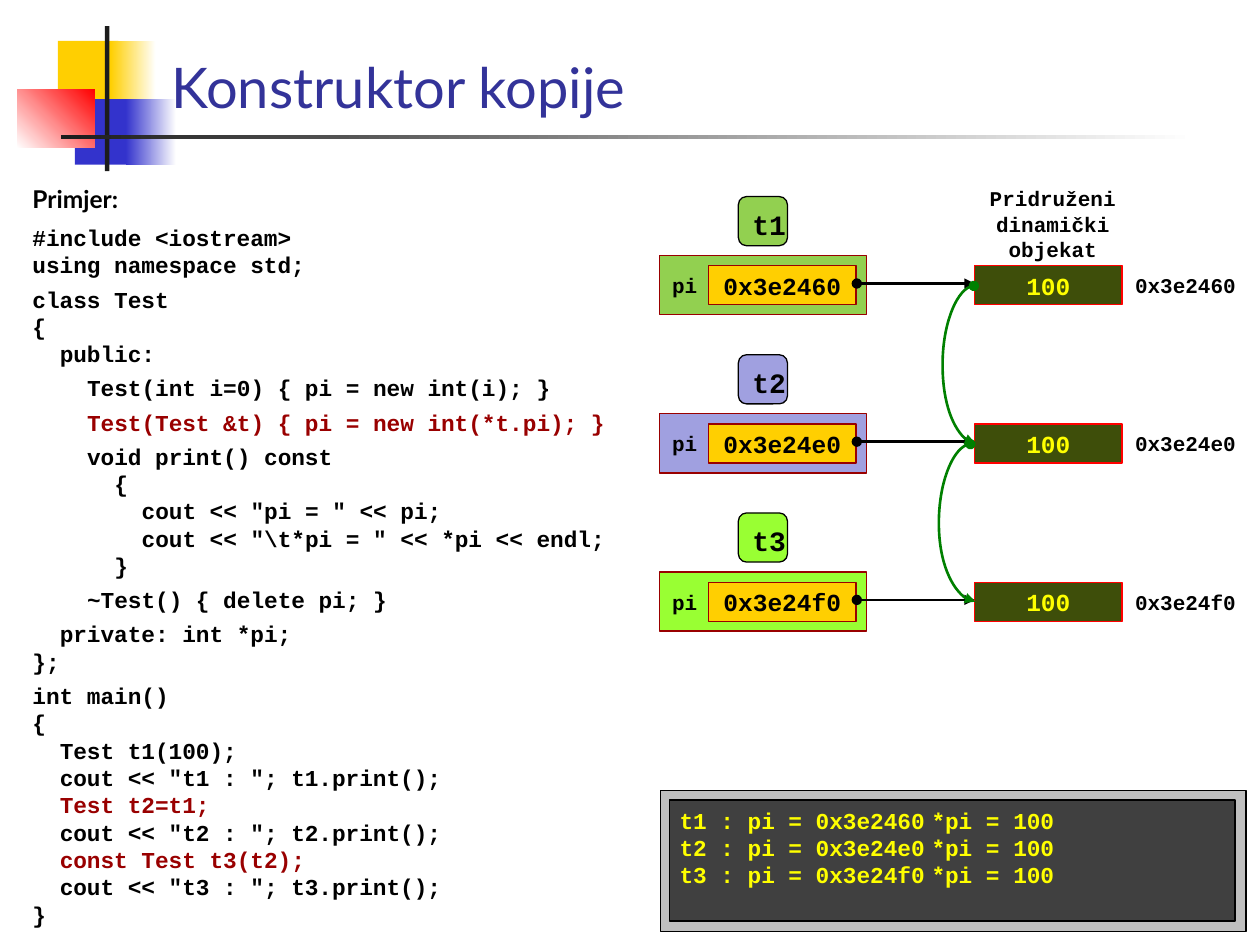
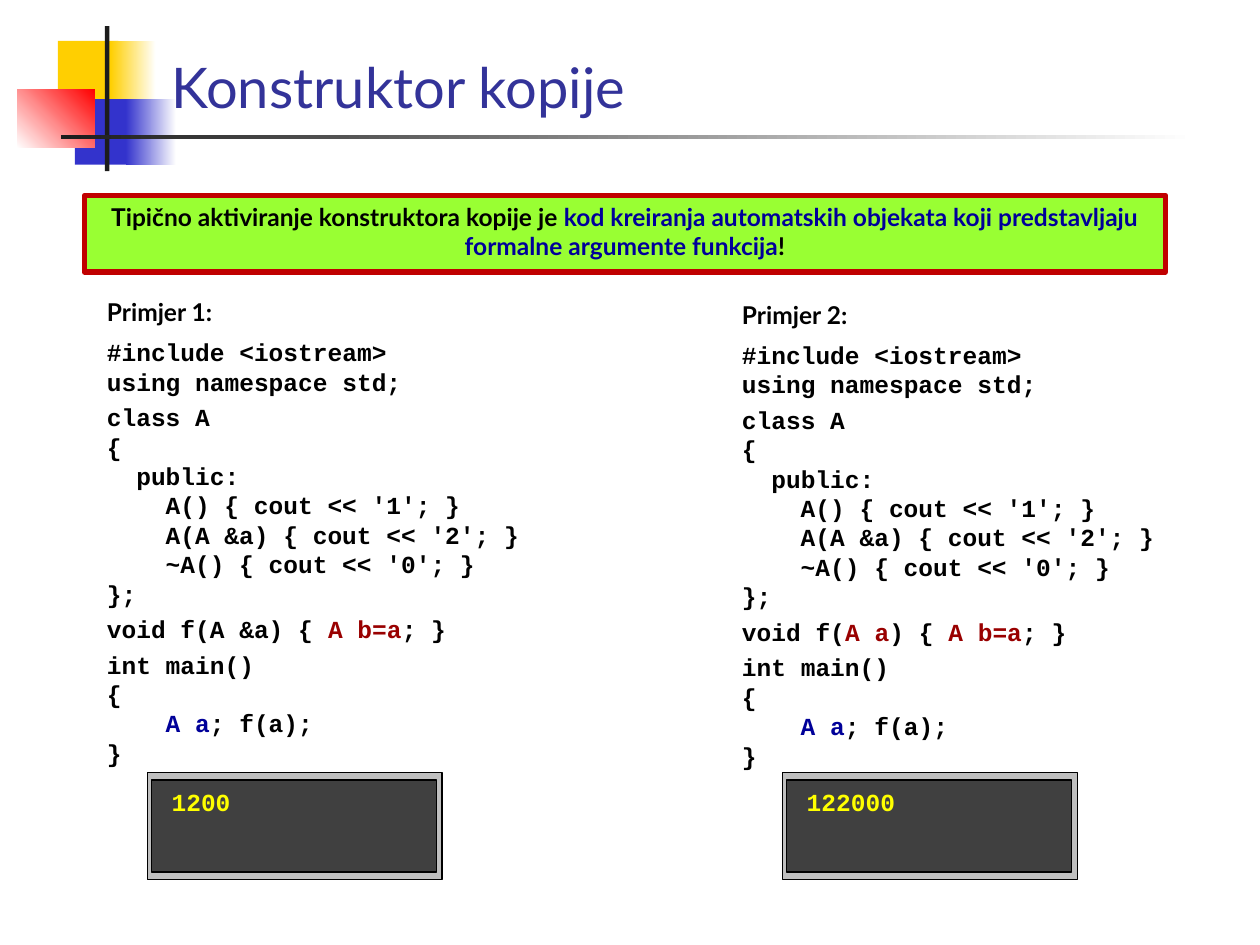
import pptx
import pptx.util
import pptx.dml.color
import pptx.enum.shapes
import pptx.enum.text
import pptx.oxml.ns
from lxml import etree

Pt = pptx.util.Pt
RGB = pptx.dml.color.RGBColor
Kind = pptx.enum.shapes.MSO_SHAPE
Link = pptx.enum.shapes.MSO_CONNECTOR
Align = pptx.enum.text.PP_ALIGN
Anchor = pptx.enum.text.MSO_ANCHOR
qn = pptx.oxml.ns.qn

BLACK = RGB(0x00, 0x00, 0x00)
WHITE = RGB(0xFF, 0xFF, 0xFF)
INK = RGB(0x1C, 0x1C, 0x1C)
GOLD = RGB(0xFF, 0xCF, 0x01)
BLUE = RGB(0x33, 0x33, 0xCC)
TITLE = RGB(0x33, 0x33, 0x99)
NAVY = RGB(0x00, 0x00, 0x99)
RED = RGB(0xFF, 0x00, 0x00)
WINE = RGB(0x99, 0x00, 0x00)
EDGE = RGB(0xC0, 0x00, 0x00)
LIME = RGB(0x99, 0xFF, 0x33)
LEAF = RGB(0x92, 0xD0, 0x50)
LILAC = RGB(0xA0, 0xA0, 0xE0)
OLIVE = RGB(0x3E, 0x4E, 0x0A)
GREEN = RGB(0x00, 0x80, 0x00)
SILVER = RGB(0xBF, 0xBF, 0xBF)
DARK = RGB(0x40, 0x40, 0x40)
YELLOW = RGB(0xFF, 0xFF, 0x00)
MONO = "Courier New"
SANS = "Lato"
CELL = 0.6


def block(slide, box, fill=None, line=None, width=0.75, fade=None, angle=0, kind=Kind.RECTANGLE):
    shape = slide.shapes.add_shape(kind, *[Pt(n) for n in box])
    shape.shadow.inherit = False
    if fade is not None:
        shape.fill.gradient()
        shape.fill.gradient_angle = angle
        for stop, tone in zip(shape.fill.gradient_stops, (fill, fade)):
            stop.color.rgb = tone
    elif fill is not None:
        shape.fill.solid()
        shape.fill.fore_color.rgb = fill
    else:
        shape.fill.background()
    if line is None:
        shape.line.fill.background()
    else:
        shape.line.color.rgb = line
        shape.line.width = Pt(width)
    return shape


def write(shape, text, size=14, color=BLACK, font=MONO, bold=True, align=Align.LEFT,
          anchor=Anchor.TOP, pad=(7.2, 3.6, 7.2, 3.6), wrap=True, first=0, gap=0, tab=None):
    frame = shape.text_frame
    frame.word_wrap = wrap
    frame.vertical_anchor = anchor
    frame.margin_left, frame.margin_top, frame.margin_right, frame.margin_bottom = map(Pt, pad)
    for num, row in enumerate(text.split("\n")):
        para = frame.add_paragraph() if frame.text else frame.paragraphs[0]
        para.alignment = align
        para.space_before = Pt(first if num == 0 else gap if row.startswith("^") else 0)
        row = row.lstrip("^")
        body = row.lstrip(" ")
        props = para._p.get_or_add_pPr()
        props.set("marL", str(Pt((len(row) - len(body)) * size * CELL)))
        props.set("indent", "0")
        if tab:
            tabs = etree.SubElement(props, qn("a:tabLst"))
            etree.SubElement(tabs, qn("a:tab"), pos=str(Pt(tab)), algn="l")
        for turn, part in enumerate(body.split("|")):
            if part:
                run = para.add_run()
                run.text = part.lstrip("@")
                run.font.name = font
                run.font.size = Pt(size)
                run.font.bold = bold
                tone = NAVY if part.startswith("@") else WINE
                run.font.color.rgb = tone if turn % 2 else color


deck = pptx.Presentation()
deck.slide_width = Pt(720)
deck.slide_height = Pt(540)
first, second = [deck.slides.add_slide(deck.slide_layouts[6]) for _ in range(2)]

for slide in (first, second):
    block(slide, (33.1, 23.3, 34.6, 37.4), GOLD)
    block(slide, (63.2, 23.3, 25.9, 37.4), GOLD, fade=WHITE)
    block(slide, (42.8, 56.7, 33, 37.4), BLUE)
    block(slide, (72, 56.7, 28.6, 37.4), BLUE, fade=WHITE)
    block(slide, (9.8, 51, 44.4, 33.5), WHITE, fade=RED, angle=45)
    block(slide, (60, 15, 2.5, 82.8), INK)
    block(slide, (34.9, 77, 648, 2.3), INK, fade=WHITE)
    write(block(slide, (90.7, 9.4, 629.3, 62.6)), "Konstruktor kopije", size=32, color=TITLE,
          font=SANS, bold=False, anchor=Anchor.BOTTOM)

code = r"""#include <iostream>
using namespace std;
^class Test
{
  public:
^    Test(int i=0) { pi = new int(i); }
^    |Test(Test &t) { pi = new int(*t.pi); }|
^    void print() const
      {
        cout << "pi = " << pi;
        cout << "\t*pi = " << *pi << endl;
      }
^    ~Test() { delete pi; }
^  private: int *pi;
};
^int main()
{
  Test t1(100);
  cout << "t1 : "; t1.print();
  |Test t2=t1;|
  cout << "t2 : "; t2.print();
  |const Test t3(t2);|
  cout << "t3 : "; t3.print();
}"""
panel = block(first, (11.5, 101.5, 348.5, 427.7))
write(panel, "Primjer:", font=SANS)
write(panel, code, size=13, first=6, gap=3.9)

rows = [("t1", "0x3e2460", LEAF), ("t2", "0x3e24e0", LILAC), ("t3", "0x3e24f0", LIME)]
block(first, (377.3, 451.7, 334.8, 80.6), SILVER, BLACK, 0)
screen = block(first, (382.5, 457.2, 323.3, 69.1), DARK, BLACK, 0)
lines = [f"{name} : pi = {addr}\t*pi = 100" for name, addr, _ in rows]
write(screen, "\n".join(lines), size=13, color=YELLOW, pad=(5.8, 3.6, 0, 3.6), tab=187.2)

write(block(first, (559.5, 108, 84.2, 39.6)), "Pridruženi\ndinamički\nobjekat", size=12,
      align=Align.CENTER, anchor=Anchor.MIDDLE, wrap=False)

STEP = 90.4
links = []
for num, (name, addr, tone) in enumerate(rows):
    top = 112.3 + num * STEP
    label = block(first, (421.9, top, 28.1, 28.1), tone, BLACK, kind=Kind.ROUNDED_RECTANGLE)
    write(label, name, size=16, align=Align.CENTER, anchor=Anchor.MIDDLE, wrap=False, pad=(7.2, 3.6, 0, 0))
    block(first, (377, top + 33.8, 118.1, 33.8), tone, WINE)
    cell = top + 39.6
    write(block(first, (377, cell, 33.8, 22.3)), "pi", size=12, anchor=Anchor.MIDDLE)
    write(block(first, (405, cell, 84.2, 22.3), GOLD, WINE), addr,
          align=Align.CENTER, anchor=Anchor.MIDDLE, wrap=False)
    write(block(first, (557, cell, 84.2, 22.3), OLIVE, RED), "100", color=YELLOW,
          align=Align.CENTER, anchor=Anchor.MIDDLE)
    write(block(first, (641.5, cell, 78.5, 22.3)), addr, size=12, anchor=Anchor.MIDDLE, wrap=False)
    links.append((Link.STRAIGHT, 489.6, top + 49.7, 557, top + 49.7, BLACK))
for num, left in enumerate((556.5, 554.5)):
    top = 163.4 + num * STEP
    links.append((Link.CURVE, left, top, 557.3, top + 90, GREEN))

for kind, left, top, right, base, tone in links:
    line = first.shapes.add_connector(kind, Pt(left), Pt(top), Pt(right), Pt(base))
    line.line.color.rgb = tone
    line.line.width = Pt(1.5)
    props = line._element.spPr
    if kind == Link.CURVE:
        bend = round(-18 / (right - left) * 100000)
        guides = props.find(".//" + qn("a:avLst"))
        etree.SubElement(guides, qn("a:gd"), name="adj1", fmla=f"val {bend}")
    pen = props.find(qn("a:ln"))
    etree.SubElement(pen, qn("a:headEnd"), type="oval")
    etree.SubElement(pen, qn("a:tailEnd"), type="triangle")
    etree.SubElement(props, qn("a:effectLst"))

write(block(second, (48.2, 111.6, 617.8, 43.9), LIME, EDGE, 3),
      "Tipično aktiviranje konstruktora kopije je |@kod kreiranja automatskih objekata "
      "koji predstavljaju formalne argumente funkcija|!", font=SANS, align=Align.CENTER)

code = """#include <iostream>
using namespace std;
^class A
{
  public:
    A() { cout << '1'; }
    A(A &a) { cout << '2'; }
    ~A() { cout << '0'; }
};
^void f(ARG) { |A b=a|; }
^int main()
{
    |@A a|; f(a);
}"""
cases = [("Primjer 1:", "A &a", "1200", 54, 166.3), ("Primjer 2:", "|A a|", "122000", 416.9, 167.8)]
for head, arg, out, left, top in cases:
    panel = block(second, (left, top, 255.6, 257.8))
    write(panel, head, font=SANS)
    write(panel, code.replace("ARG", arg), first=6, gap=3.5)
    block(second, (left + 30.2, 441.4, 168.5, 61.2), SILVER, BLACK, 0)
    screen = block(second, (left + 32.6, 445.7, 162.7, 52.6), DARK, BLACK, 0)
    write(screen, out, color=YELLOW, pad=(11.5, 4.3, 0, 3.6))

deck.save("out.pptx")
